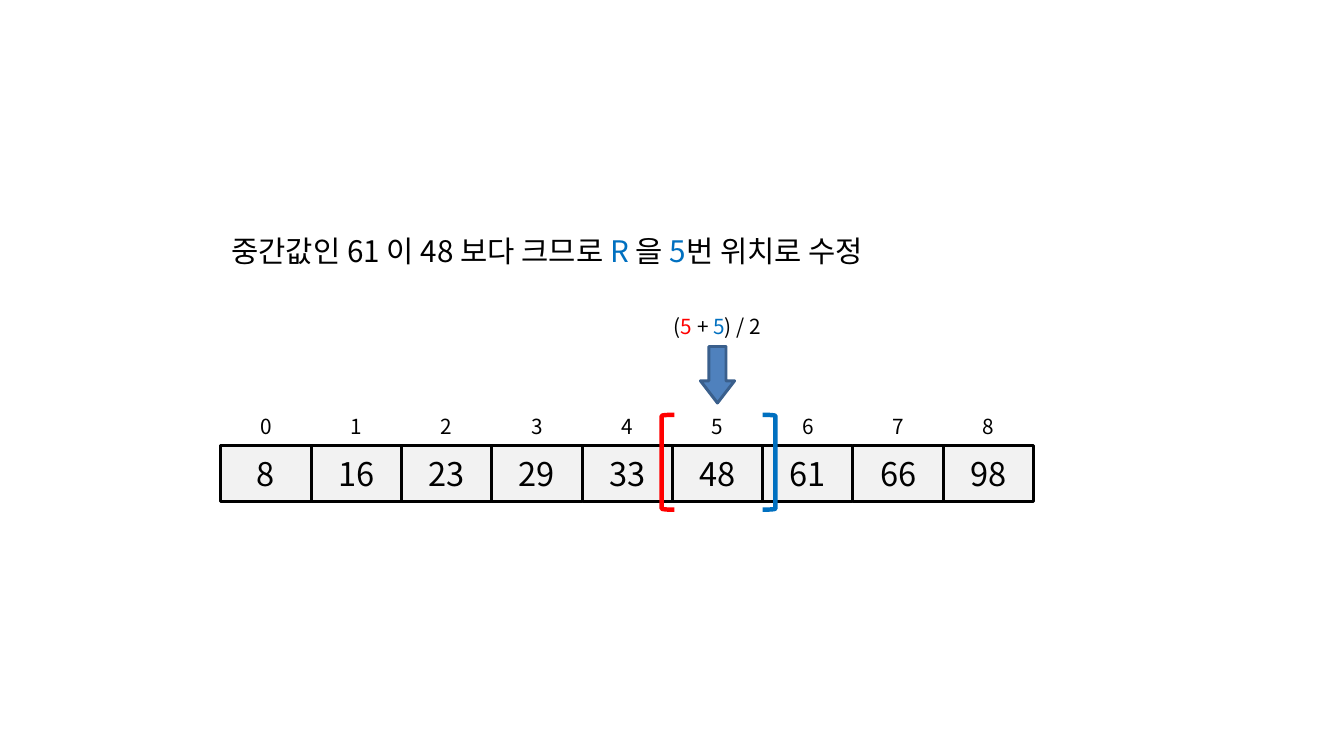
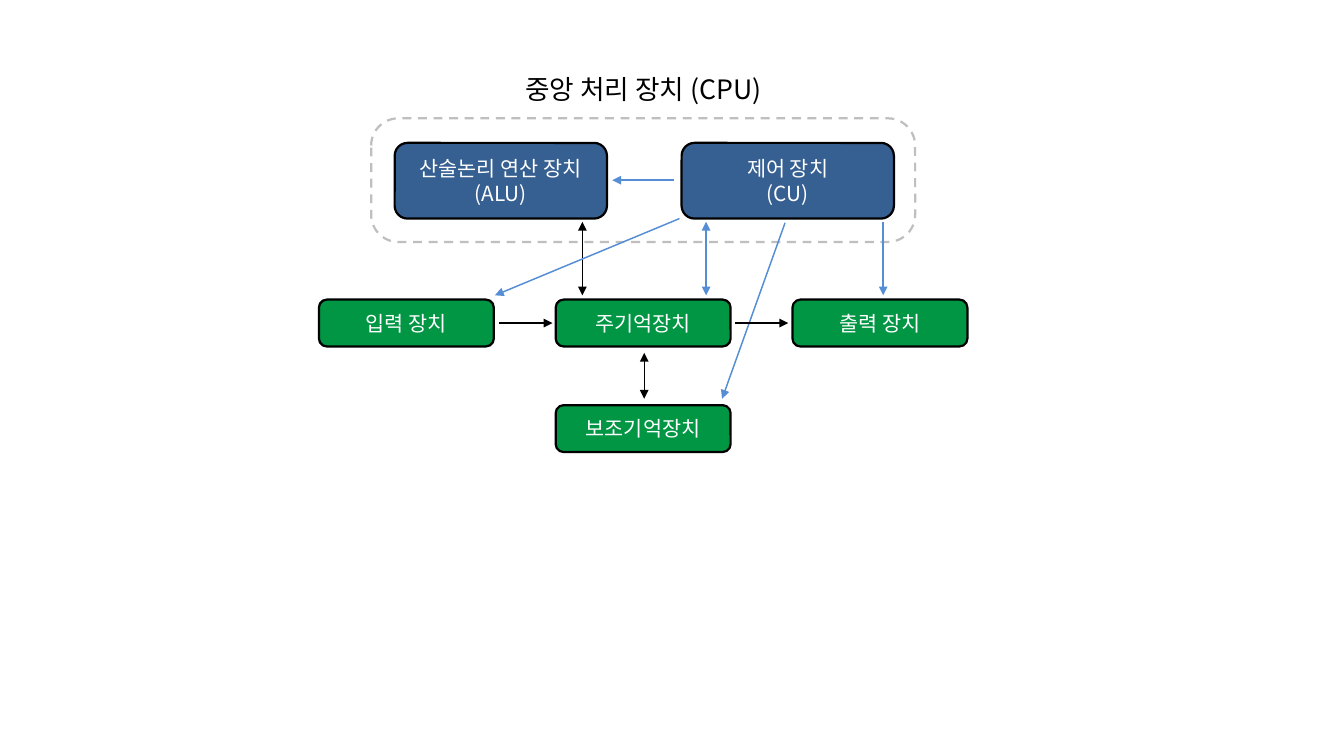
from dataclasses import dataclass

from lxml import etree
from pptx import Presentation
from pptx.dml.color import RGBColor
from pptx.enum.dml import MSO_LINE
from pptx.enum.shapes import MSO_CONNECTOR, MSO_SHAPE
from pptx.enum.text import MSO_ANCHOR, MSO_AUTO_SIZE, PP_ALIGN
from pptx.oxml.ns import qn
from pptx.util import Emu, Pt

RECT, ROUNDED = MSO_SHAPE.RECTANGLE, MSO_SHAPE.ROUNDED_RECTANGLE
LEFT_BRACKET, RIGHT_BRACKET = MSO_SHAPE.LEFT_BRACKET, MSO_SHAPE.RIGHT_BRACKET
DOWN_ARROW = MSO_SHAPE.DOWN_ARROW
STRAIGHT, DASH = MSO_CONNECTOR.STRAIGHT, MSO_LINE.DASH
TOP, MIDDLE = MSO_ANCHOR.TOP, MSO_ANCHOR.MIDDLE
LEFT, CENTER = PP_ALIGN.LEFT, PP_ALIGN.CENTER
GROW = MSO_AUTO_SIZE.SHAPE_TO_FIT_TEXT
PX = 9144  # 100 px to the inch


@dataclass(frozen=True)
class Theme:
    font: str = "Noto Sans CJK KR"
    black: str = "000000"
    white: str = "FFFFFF"
    red: str = "FF0000"
    blue: str = "0070C0"
    cell: str = "F2F2F2"
    pointer: str = "4F81BD"
    pointer_edge: str = "3A5F8C"
    processor: str = "376092"
    device: str = "009644"
    control: str = "558ED5"
    frame: str = "BFBFBF"
    number: int = 22
    sentence: int = 20
    heading: int = 18
    label: int = 14


T = Theme()

# Slide 1: binary search step; coloured text is a list of (words, colour)
VALUES = [8, 16, 23, 29, 33, 48, 61, 66, 98]
ACTIVE = 5
STEP = [("중간값인 61 이 48 보다 크므로 ", T.black), ("R", T.blue),
        (" 을 ", T.black), ("5", T.blue), ("번 위치로 수정", T.black)]
MIDPOINT = [("(", T.black), ("5", T.red), (" + ", T.black),
            ("5", T.blue), (") / 2", T.black)]
ROW_LEFT, ROW_TOP, ROW_WIDTH, ROW_HEIGHT = 207, 418, 762, 52

# Slide 2: computer structure
CPU_TITLE = "중앙 처리 장치 (CPU)"
PROCESSORS = [["산술논리 연산 장치", "(ALU)"], ["제어 장치", "(CU)"]]
DEVICES = [("입력 장치", 0, 0), ("주기억장치", 1, 0),  # name, column, row
           ("출력 장치", 2, 0), ("보조기억장치", 1, 1)]
FLOWS = [  # start, end, colour, arrowheads at both ends
    ((546, 208), (546, 277), T.black, True),
    ((662, 208), (662, 277), T.control, True),
    ((604, 331), (604, 374), T.black, True),
    ((632, 169), (574, 169), T.control, False),
    ((637, 205), (464, 277), T.control, False),
    ((736, 209), (677, 374), T.control, False),
    ((828, 208), (828, 277), T.control, False),
    ((468, 303), (518, 303), T.black, False),
    ((689, 303), (739, 303), T.black, False),
]


def px(*lengths):
    return [Emu(round(length * PX)) for length in lengths]


def rgb(colour):
    return RGBColor.from_string(colour)


def write(frame, paragraphs, size, colour=T.black, align=CENTER, anchor=MIDDLE):
    """Fill a frame; a paragraph is a string or a list of (words, colour)."""
    frame.word_wrap = True
    frame.vertical_anchor = anchor
    for i, content in enumerate(paragraphs):
        paragraph = frame.add_paragraph() if i else frame.paragraphs[0]
        paragraph.alignment = align
        font = paragraph.font
        font.size, font.name = Pt(size), T.font
        font.color.rgb = rgb(colour)
        defaults = paragraph._p.pPr.find(qn("a:defRPr"))
        etree.SubElement(defaults, qn("a:ea"), typeface=T.font)
        runs = [(content, colour)] if isinstance(content, str) else content
        for words, run_colour in runs:
            run = paragraph.add_run()
            run.text = words
            if run_colour != colour:
                run.font.color.rgb = rgb(run_colour)


def add_text(slide, box, content, size, **style):
    frame = slide.shapes.add_textbox(*px(*box)).text_frame
    write(frame, [content], size, **style)
    return frame


def add_block(slide, kind, box, fill, line, width, adjustments=()):
    block = slide.shapes.add_shape(kind, *px(*box))
    block.shadow.inherit = False
    if fill:
        block.fill.solid()
        block.fill.fore_color.rgb = rgb(fill)
    else:
        block.fill.background()
    block.line.color.rgb = rgb(line)
    block.line.width = Pt(width)
    for i, value in enumerate(adjustments):
        block.adjustments[i] = value
    return block


def add_unit(slide, box, fill, lines):
    unit = add_block(slide, ROUNDED, box, fill, T.black, 1.5, [0.17])
    unit.text_frame.margin_top = unit.text_frame.margin_bottom = 0
    write(unit.text_frame, lines, T.label, T.white)


def add_flow(slide, start, end, colour, both):
    flow = slide.shapes.add_connector(STRAIGHT, *px(*start, *end))
    flow.line.color.rgb = rgb(colour)
    flow.line.width = Pt(1)
    ends = ["a:headEnd", "a:tailEnd"] if both else ["a:tailEnd"]
    for tag in ends:
        etree.SubElement(flow.line._get_or_add_ln(), qn(tag), type="triangle")
    etree.SubElement(flow._element.spPr, qn("a:effectLst"))


def build_search(slide):
    pitch = ROW_WIDTH / len(VALUES)
    # Array cells and their indices
    for i, value in enumerate(VALUES):
        x = ROW_LEFT + i * pitch
        cell = add_block(slide, RECT, (x, ROW_TOP, pitch, ROW_HEIGHT),
                         T.cell, T.black, 2)
        write(cell.text_frame, [str(value)], T.number)
        add_text(slide, (x, 385, pitch, 29), str(i), T.label)

    # Explanation
    step = add_text(slide, (ROW_LEFT, 197, 785, 61), STEP, T.sentence,
                    align=LEFT, anchor=TOP)
    step.auto_size = GROW
    step.paragraphs[0].line_spacing = 1.5

    # Search range and midpoint
    active_left = ROW_LEFT + ACTIVE * pitch
    center = active_left + pitch / 2
    for kind, x, colour in [(LEFT_BRACKET, active_left - 10, T.red),
                            (RIGHT_BRACKET, active_left + pitch, T.blue)]:
        add_block(slide, kind, (x, 389, 12, 89), None, colour, 3)
    add_block(slide, DOWN_ARROW, (center - 16, 325, 32, 53),
              T.pointer, T.pointer_edge, 2, [0.5, 0.65])
    add_text(slide, (center - 62, 291, 124, 29), MIDPOINT, T.label)


def build_computer(slide):
    # CPU
    title = add_text(slide, (470, 63, 266, 40), CPU_TITLE, T.heading, anchor=TOP)
    title.auto_size = GROW
    for i, lines in enumerate(PROCESSORS):
        add_unit(slide, (370 + i * 269, 134, 199, 71), T.processor, lines)
    frame = add_block(slide, ROUNDED, (348, 111, 510, 116),
                      None, T.frame, 1.5, [0.22])
    frame.line.dash_style = DASH

    # Memory and input/output devices
    for name, column, row in DEVICES:
        box = (299 + column * 222, 281 + row * 99, 164, 44)
        add_unit(slide, box, T.device, [name])

    # Data and control flows
    for flow in FLOWS:
        add_flow(slide, *flow)


def main():
    deck = Presentation()
    deck.slide_width, deck.slide_height = px(1260, 709)
    for build in (build_search, build_computer):
        build(deck.slides.add_slide(deck.slide_layouts[6]))
    deck.save("out.pptx")


if __name__ == "__main__":
    main()
